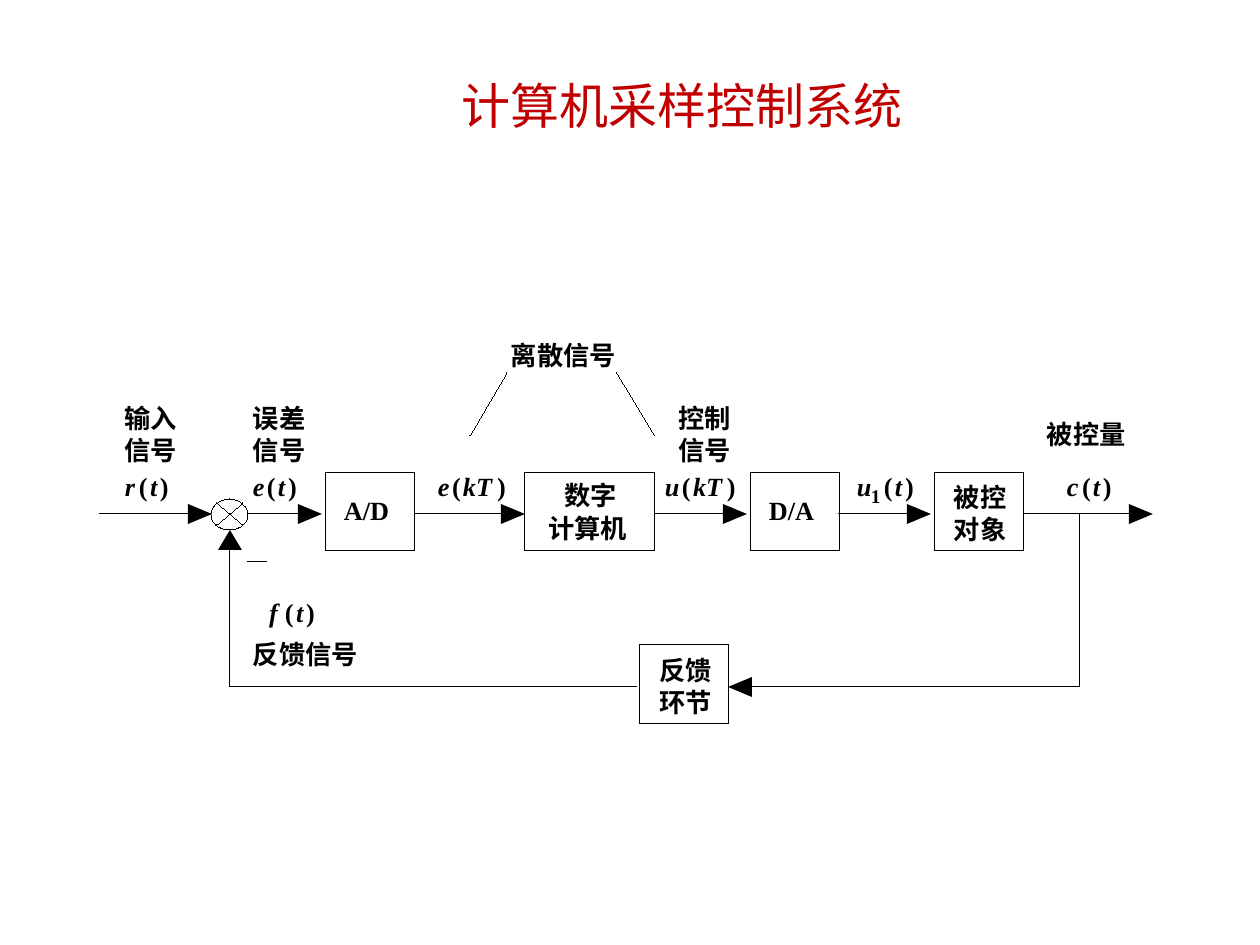
from lxml import etree
from pptx import Presentation
from pptx.dml.color import RGBColor
from pptx.enum.shapes import MSO_CONNECTOR, MSO_SHAPE
from pptx.enum.text import MSO_ANCHOR, MSO_AUTO_SIZE, PP_ALIGN
from pptx.oxml.ns import qn
from pptx.util import Emu, Pt

STRAIGHT = MSO_CONNECTOR.STRAIGHT
RECTANGLE, OVAL = MSO_SHAPE.RECTANGLE, MSO_SHAPE.OVAL
TOP, CENTER = MSO_ANCHOR.TOP, PP_ALIGN.CENTER
FIT_SHAPE, NO_FIT = MSO_AUTO_SIZE.SHAPE_TO_FIT_TEXT, MSO_AUTO_SIZE.NONE
EMU_PER_INCH, PX_PER_INCH = 914400, 126
HAIRLINE = Emu(1)
COLORS = {"ink": "000000", "title": "C00000"}
CJK, LATIN = "Noto Sans CJK SC", "Times New Roman"
AXIS_Y, FEEDBACK_Y, BOX_TOP = 514, 687, 472
BOX_WIDTH, BOX_HEIGHT = 89, 79
LINE_HEIGHT, CJK_WIDTH = 32, 27
GLYPH_WIDTHS = {"(": 9, ")": 9, "t": 8, "kT": 31, "r": 11, "e": 12,
                "c": 12, "u": 15, "f": 9, "1": 10}


def px(value):
    """Turn pixels into EMU."""
    return Emu(round(value * EMU_PER_INCH / PX_PER_INCH))


def color(name):
    """Look up a colour by name."""
    return RGBColor.from_string(COLORS[name])


def add_run(paragraph, text, size, font_name, color_name, bold=False, italic=False):
    """Add a formatted run to a paragraph."""
    run = paragraph.add_run()
    run.text = text
    font = run.font
    font.size, font.name, font.bold, font.italic = Pt(size), font_name, bold, italic
    font.color.rgb = color(color_name)
    east_asian = etree.Element(qn("a:ea"), typeface=font_name)
    run._r.get_or_add_rPr().find(qn("a:latin")).addnext(east_asian)


def add_title(slide, text):
    """Place and format the title placeholder."""
    title = slide.shapes.title
    title.left, title.top, title.width, title.height = map(px, (187, 69, 990, 91))
    frame = title.text_frame
    frame.vertical_anchor, frame.auto_size = TOP, NO_FIT
    paragraph = frame.paragraphs[0]
    paragraph.alignment = CENTER
    add_run(paragraph, text, 28, CJK, "title")


def add_text(slide, left, top, width, text, font_name=CJK, size=15, italic=False):
    """Add a one-line bold text without margins."""
    height = LINE_HEIGHT * size / 15
    box = slide.shapes.add_textbox(px(left), px(top), px(width), px(height))
    frame = box.text_frame
    frame.margin_left = frame.margin_right = frame.margin_top = frame.margin_bottom = 0
    frame.word_wrap, frame.auto_size = False, FIT_SHAPE
    add_run(frame.paragraphs[0], text, size, font_name, "ink", True, italic)


def add_label(slide, left, top, *lines):
    """Add a Chinese label of one or more lines."""
    for index, line in enumerate(lines):
        add_text(slide, left, top + index * LINE_HEIGHT, CJK_WIDTH * len(line), line)


def add_signal(slide, left, top, name, argument, gap, subscript=""):
    """Add a signal such as e(t), whose bracket opens at the given gap."""
    bracket = left + gap
    close = bracket + (45 if argument == "kT" else 21)
    parts = [(name, left, True), ("(", bracket, False),
             (argument, bracket + 11, True), (")", close, False)]
    for text, x, italic in parts:
        add_text(slide, x, top, GLYPH_WIDTHS[text], text, LATIN, italic=italic)
    if subscript:
        add_text(slide, left + 14, top + 14, GLYPH_WIDTHS[subscript], subscript, LATIN, 11)


def add_outline(slide, kind, left, top, width, height):
    """Add an unfilled shape with a hairline."""
    shape = slide.shapes.add_shape(kind, px(left), px(top), px(width), px(height))
    shape.shadow.inherit = False
    shape.fill.background()
    shape.line.color.rgb = color("ink")
    shape.line.width = HAIRLINE


def add_line(slide, start, end):
    """Add a hairline between two points."""
    line = slide.shapes.add_connector(STRAIGHT, *map(px, start + end))
    line.line.color.rgb = color("ink")
    line.line.width = HAIRLINE
    etree.SubElement(line._element.spPr, qn("a:effectLst"))


def add_arrow(slide, start, end):
    """Add a level or upright line that ends in a solid triangle."""
    (x1, y1), (x2, y2) = start, end
    if y1 == y2:
        base = (x2 - 24 if x2 > x1 else x2 + 24, y2)
        corners = [(base[0], y2 - 10), (base[0], y2 + 10)]
    else:
        base = (x2, y2 - 20 if y2 > y1 else y2 + 20)
        corners = [(x2 - 12, base[1]), (x2 + 12, base[1])]
    add_line(slide, start, base)
    builder = slide.shapes.build_freeform(px(x2), px(y2))
    builder.add_line_segments([(px(x), px(y)) for x, y in corners], close=True)
    head = builder.convert_to_shape()
    head.shadow.inherit = False
    head.fill.solid()
    head.fill.fore_color.rgb = color("ink")
    head.line.fill.background()


def add_summing_junction(slide):
    """Add the crossed circle that compares input and feedback."""
    add_outline(slide, OVAL, 211, 499, 37, 31)
    add_line(slide, (217, 503), (243, 525))
    add_line(slide, (217, 525), (243, 503))


def main():
    """Build the sampled control system slide."""
    presentation = Presentation()
    presentation.slide_width, presentation.slide_height = px(1260), px(945)
    slide = presentation.slides.add_slide(presentation.slide_layouts[5])
    add_title(slide, "计算机采样控制系统")

    for left, top, width in [(326, BOX_TOP, BOX_WIDTH), (525, BOX_TOP, 130),
                             (751, BOX_TOP, BOX_WIDTH), (935, BOX_TOP, BOX_WIDTH),
                             (640, 645, BOX_WIDTH)]:
        add_outline(slide, RECTANGLE, left, top, width, BOX_HEIGHT)
    add_summing_junction(slide)

    for start, end in [(100, 212), (248, 322), (415, 525), (655, 747),
                       (839, 931), (1024, 1153)]:
        add_arrow(slide, (start, AXIS_Y), (end, AXIS_Y))
    add_arrow(slide, (1080, FEEDBACK_Y), (728, FEEDBACK_Y))
    add_arrow(slide, (230, FEEDBACK_Y), (230, 530))
    for start, end in [((230, FEEDBACK_Y), (637, FEEDBACK_Y)),
                       ((1080, AXIS_Y), (1080, FEEDBACK_Y)),
                       ((248, 562), (267, 562)),
                       ((507, 373), (470, 436)), ((617, 373), (655, 436))]:
        add_line(slide, start, end)

    for left, top, *lines in [(124, 402, "输入", "信号"), (253, 402, "误差", "信号"),
                              (678, 402, "控制", "信号"), (511, 339, "离散信号"),
                              (1047, 418, "被控量"), (253, 638, "反馈信号"),
                              (564, 479, "数字"), (548, 512, "计算机"),
                              (954, 481, "被控", "对象"), (659, 654, "反馈", "环节")]:
        add_label(slide, left, top, *lines)
    for left, text in [(344, "A/D"), (769, "D/A")]:
        add_text(slide, left, 494, 48, text, LATIN)

    for signal in [(125, 470, "r", "t", 14), (253, 470, "e", "t", 14),
                   (438, 470, "e", "kT", 14), (665, 470, "u", "kT", 17),
                   (857, 470, "u", "t", 27, "1"), (1067, 470, "c", "t", 15),
                   (269, 596, "f", "t", 16)]:
        add_signal(slide, *signal)
    presentation.save("out.pptx")


if __name__ == "__main__":
    main()
